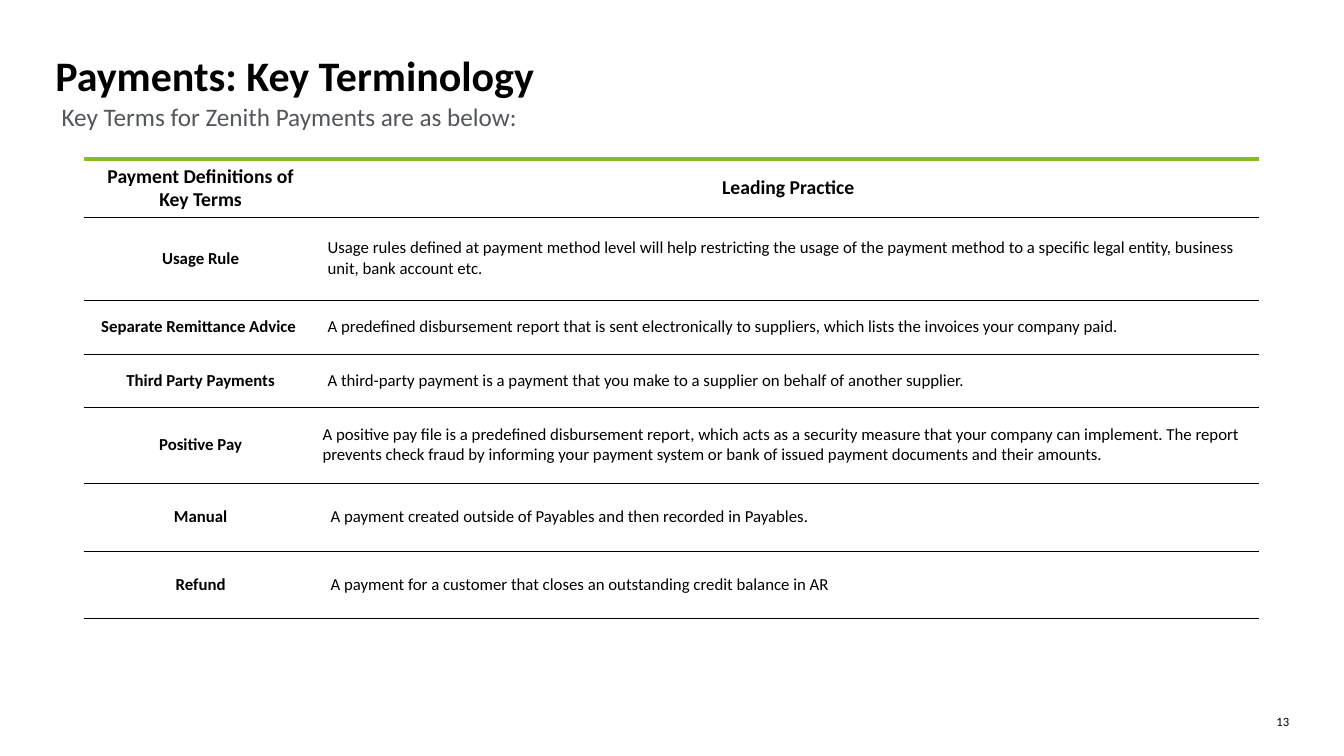
from lxml import etree
from pptx import Presentation
from pptx.dml.color import RGBColor
from pptx.enum import text
from pptx.oxml import ns
from pptx.util import Pt

COLORS = {"ink": "000000", "subtitle": "53565A", "accent": "86BC25"}
FONT = "Calibri"
NORMAL, TIGHT, ROOMY = (7.2, 3.6), (3.6, 3.6), (9.4, 5)  # cell insets: sides, top and bottom
COLUMN_WIDTHS = (167, 672.5)

# term, leading practice, row height, insets
TERMS = [
    ("Payment Definitions of Key Terms", "Leading Practice", 26, NORMAL),
    ("Usage Rule",
     "Usage rules defined at payment method level will help restricting the usage of the payment "
     "method to a specific legal entity, business unit, bank account etc.", 59, NORMAL),
    ("Separate Remittance Advice ",
     "A predefined disbursement report that is sent electronically to suppliers, which lists the "
     "invoices your company paid.", 39, NORMAL),
    ("Third Party Payments",
     "A third-party payment is a payment that you make to a supplier on behalf of another "
     "supplier.", 37.4, NORMAL),
    ("Positive Pay",
     "A positive pay file is a predefined disbursement report, which acts as a security measure "
     "that your company can implement. The report prevents check fraud by informing your payment "
     "system or bank of issued payment documents and their amounts.", 54.7, TIGHT),
    ("Manual", "A payment created outside of Payables and then recorded in Payables.", 48.2, ROOMY),
    ("Refund", "A payment for a customer that closes an outstanding credit balance in AR", 48.2, ROOMY),
]


def style(paragraph, size, color="ink", bold=False, align=text.PP_ALIGN.LEFT):
    paragraph.alignment = align
    paragraph.font.name = FONT
    paragraph.font.size = Pt(size)
    paragraph.font.bold = bold
    paragraph.font.color.rgb = RGBColor.from_string(COLORS[color])


def fill_box(box, left, top, width, height, words):
    """Place a text shape without insets and return its paragraph."""
    box.left, box.top, box.width, box.height = Pt(left), Pt(top), Pt(width), Pt(height)
    frame = box.text_frame
    frame.word_wrap = True
    frame.auto_size = text.MSO_AUTO_SIZE.NONE
    frame.vertical_anchor = text.MSO_ANCHOR.TOP
    frame.margin_left = frame.margin_right = frame.margin_top = frame.margin_bottom = 0
    frame.text = words
    return frame.paragraphs[0]


def add_label(slide, left, top, width, height, words):
    return fill_box(slide.shapes.add_textbox(0, 0, 0, 0), left, top, width, height, words)


def add_heading(slide, left, top, width):
    title = fill_box(slide.shapes.title, left, top, width, 26.6, "Payments: Key Terminology")
    style(title, 30, bold=True)
    title.line_spacing = 1.0
    subtitle = add_label(slide, left + 4.4, top + 37.4, width, 60,
                         "Key Terms for Zenith Payments are as below:")
    style(subtitle, 18, "subtitle")
    subtitle.space_after = Pt(10)


def set_borders(cell, top, bottom):
    """Draw only the horizontal edges, each given as (colour, width)."""
    properties = cell._tc.get_or_add_tcPr()
    edges = {"lnL": None, "lnR": None, "lnT": top, "lnB": bottom}
    for position, (tag, edge) in enumerate(edges.items()):
        line = etree.Element(ns.qn("a:" + tag))
        if edge:
            color, width = edge
            line.set("w", str(Pt(width)))
            solid = etree.SubElement(line, ns.qn("a:solidFill"))
            etree.SubElement(solid, ns.qn("a:srgbClr"), val=COLORS[color])
        else:
            etree.SubElement(line, ns.qn("a:noFill"))
        properties.insert(position, line)


def add_terms_table(slide, left, top):
    heights = [height for _, _, height, _ in TERMS]
    table = slide.shapes.add_table(len(TERMS), len(COLUMN_WIDTHS), Pt(left), Pt(top),
                                   Pt(sum(COLUMN_WIDTHS)), Pt(sum(heights))).table
    table.first_row = table.horz_banding = False
    for column, width in zip(table.columns, COLUMN_WIDTHS):
        column.width = Pt(width)
    rule = ("ink", 0.25)
    for row, (term, practice, height, (side, edge)) in enumerate(TERMS):
        table.rows[row].height = Pt(height)
        header = row == 0
        for column, words in enumerate((term, practice)):
            cell = table.cell(row, column)
            cell.text = words
            cell.fill.background()
            cell.vertical_anchor = text.MSO_ANCHOR.MIDDLE
            cell.margin_left = cell.margin_right = Pt(side)
            cell.margin_top = cell.margin_bottom = Pt(edge)
            emphasis = header or column == 0
            style(cell.text_frame.paragraphs[0], 14 if header else 12, bold=emphasis,
                  align=text.PP_ALIGN.CENTER if emphasis else text.PP_ALIGN.LEFT)
            set_borders(cell, ("accent", 3) if header else rule, rule)


def add_page_number(slide, left, top):
    style(add_label(slide, left, top, 24.5, 10.8, "13"), 9, align=text.PP_ALIGN.RIGHT)


def main():
    deck = Presentation()
    deck.slide_width, deck.slide_height = Pt(960), Pt(540)
    slide = deck.slides.add_slide(deck.slide_layouts[5])
    add_heading(slide, 39.6, 35.3, 881.3)
    add_terms_table(slide, 59.8, 113.8)
    add_page_number(slide, 896.4, 509.8)
    deck.save("out.pptx")


if __name__ == "__main__":
    main()
